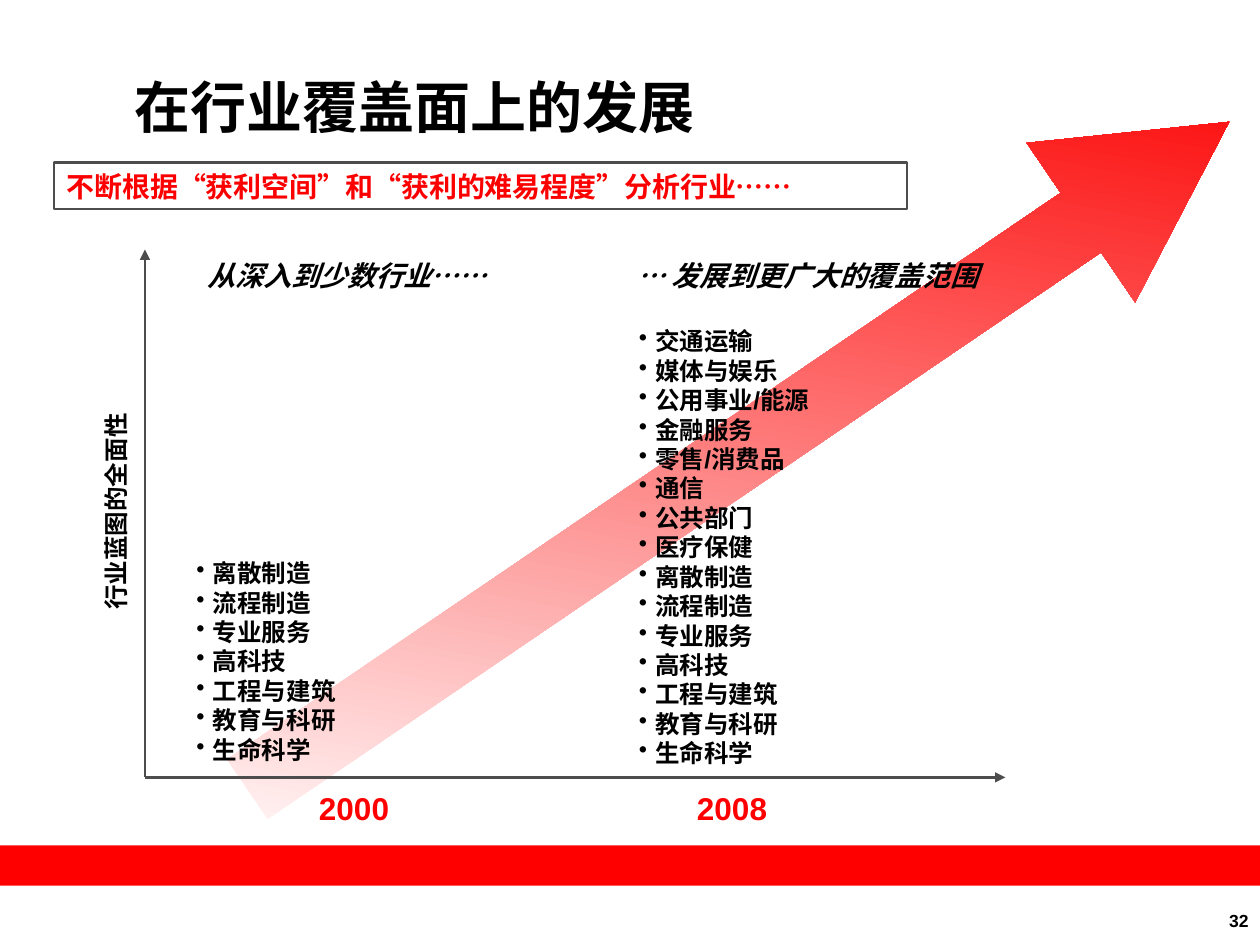
from lxml import etree
from pptx import Presentation, util as u
from pptx.dml.color import RGBColor
from pptx.enum import shapes, text
from pptx.oxml.ns import qn

WIDTH, HEIGHT = 10, 7.5
COLORS = {"black": "000000", "white": "FFFFFF", "red": "FF0000",
          "arrow": "FD0000", "claim": "FC0000", "axis": "4D4D4D"}

TITLE = "在行业覆盖面上的发展"
CLAIM = "不断根据“获利空间”和“获利的难易程度”分析行业……"
AXIS_LABEL = "行业蓝图的全面性"
PAGE_NUMBER = "32"
EARLY = ["离散制造", "流程制造", "专业服务", "高科技", "工程与建筑", "教育与科研", "生命科学"]
ADDED = ["交通运输", "媒体与娱乐", "公用事业/能源", "金融服务", "零售/消费品",
         "通信", "公共部门", "医疗保健"]
STAGES = [
    {"year": "2000", "year_left": 2.06, "heading": "从深入到少数行业……",
     "heading_left": 1.65, "industries": EARLY, "list_at": (1.56, 4.43)},
    {"year": "2008", "year_left": 5.06, "heading": "… 发展到更广大的覆盖范围",
     "heading_left": 5.06, "industries": ADDED + EARLY, "list_at": (5.07, 2.59)},
]
ORIGIN, AXIS_TOP, AXIS_RIGHT = (1.15, 6.17), 1.98, 7.98
ROW = 0.233
INDENT = 0.13


def color(name):
    return RGBColor.from_string(COLORS[name])


def write(box, lines, size=14, fill="black", italic=False, align="LEFT",
          anchor="TOP", inset=(0, 0), bullet=False):
    """Fill a shape with bold paragraphs; inset is (horizontal, vertical)."""
    frame = box.text_frame
    frame.word_wrap = True
    frame.vertical_anchor = text.MSO_ANCHOR[anchor]
    frame.margin_left = frame.margin_right = u.Inches(inset[0])
    frame.margin_top = frame.margin_bottom = u.Inches(inset[1])
    for index, line in enumerate(lines):
        para = frame.paragraphs[0] if index == 0 else frame.add_paragraph()
        para.alignment = text.PP_ALIGN[align]
        if bullet:
            props = para._p.get_or_add_pPr()
            props.set("marL", str(u.Inches(INDENT)))
            props.set("indent", str(-u.Inches(INDENT)))
            etree.SubElement(props, qn("a:buChar")).set("char", "•")
        span = para.add_run()
        span.text = line
        font = span.font
        font.name, font.size, font.bold, font.italic = "Arial", u.Pt(size), True, italic
        font.color.rgb = color(fill)
    return box


def add_text(page, at, lines, **style):
    return write(page.shapes.add_textbox(*map(u.Inches, at)), lines, **style)


def add_block(page, kind, at):
    block = page.shapes.add_shape(kind, *map(u.Inches, at))
    block.shadow.inherit = False
    block.line.fill.background()
    return block


def add_axis(page, start, end):
    axis = page.shapes.add_connector(shapes.MSO_CONNECTOR.STRAIGHT,
                                     *map(u.Inches, start + end))
    axis.line.color.rgb = color("axis")
    axis.line.width = u.Pt(1.5)
    etree.SubElement(axis.line._get_or_add_ln(), qn("a:tailEnd")).set("type", "triangle")
    etree.SubElement(axis._element.spPr, qn("a:effectLst"))


def add_growth_arrow(page):
    arrow = add_block(page, shapes.MSO_SHAPE.RIGHT_ARROW, (1.15, 2.85, 9.42, 1.53))
    arrow.rotation = 325.8
    arrow.adjustments[0], arrow.adjustments[1] = 0.373, 0.93
    arrow.fill.gradient()
    arrow.fill.gradient_angle = 45
    for stop, name, place in zip(arrow.fill.gradient_stops, ("white", "arrow"), (0, 1)):
        stop.color.rgb = color(name)
        stop.position = place


def main():
    deck = Presentation()
    deck.slide_width, deck.slide_height = u.Inches(WIDTH), u.Inches(HEIGHT)
    page = deck.slides.add_slide(deck.slide_layouts[6])

    band = add_block(page, shapes.MSO_SHAPE.RECTANGLE, (0, 6.71, WIDTH, 0.32))
    band.fill.solid()
    band.fill.fore_color.rgb = color("red")
    add_text(page, (7.73, 7.06, 2.27, 0.38), [PAGE_NUMBER], size=10,
             align="RIGHT", anchor="BOTTOM", inset=(0.09, 0.05))

    add_growth_arrow(page)
    add_text(page, (0.97, 0.33, 8.29, 1.03), [TITLE], size=32,
             anchor="MIDDLE", inset=(0.1, 0.05))
    label = add_text(page, (-1.13, 3.93, 4.13, 0.26), [AXIS_LABEL], align="CENTER")
    label.rotation = 270
    add_axis(page, ORIGIN, (ORIGIN[0], AXIS_TOP))
    add_axis(page, ORIGIN, (AXIS_RIGHT, ORIGIN[1]))

    for stage in STAGES:
        industries = stage["industries"]
        add_text(page, (stage["year_left"], 6.26, 1.5, 0.25), [stage["year"]],
                 size=18, fill="red", align="CENTER")
        add_text(page, (*stage["list_at"], 2.74, len(industries) * ROW),
                 industries, bullet=True)
        add_text(page, (stage["heading_left"], 2.05, 3.6, 0.25), [stage["heading"]],
                 size=16, italic=True)

    claim = add_block(page, shapes.MSO_SHAPE.RECTANGLE, (0.43, 1.29, 6.77, 0.37))
    claim.fill.background()
    claim.line.color.rgb = color("axis")
    claim.line.width = u.Pt(1.5)
    write(claim, [CLAIM], size=16, fill="claim", anchor="MIDDLE", inset=(0.1, 0.05))

    deck.save("out.pptx")


if __name__ == "__main__":
    main()
